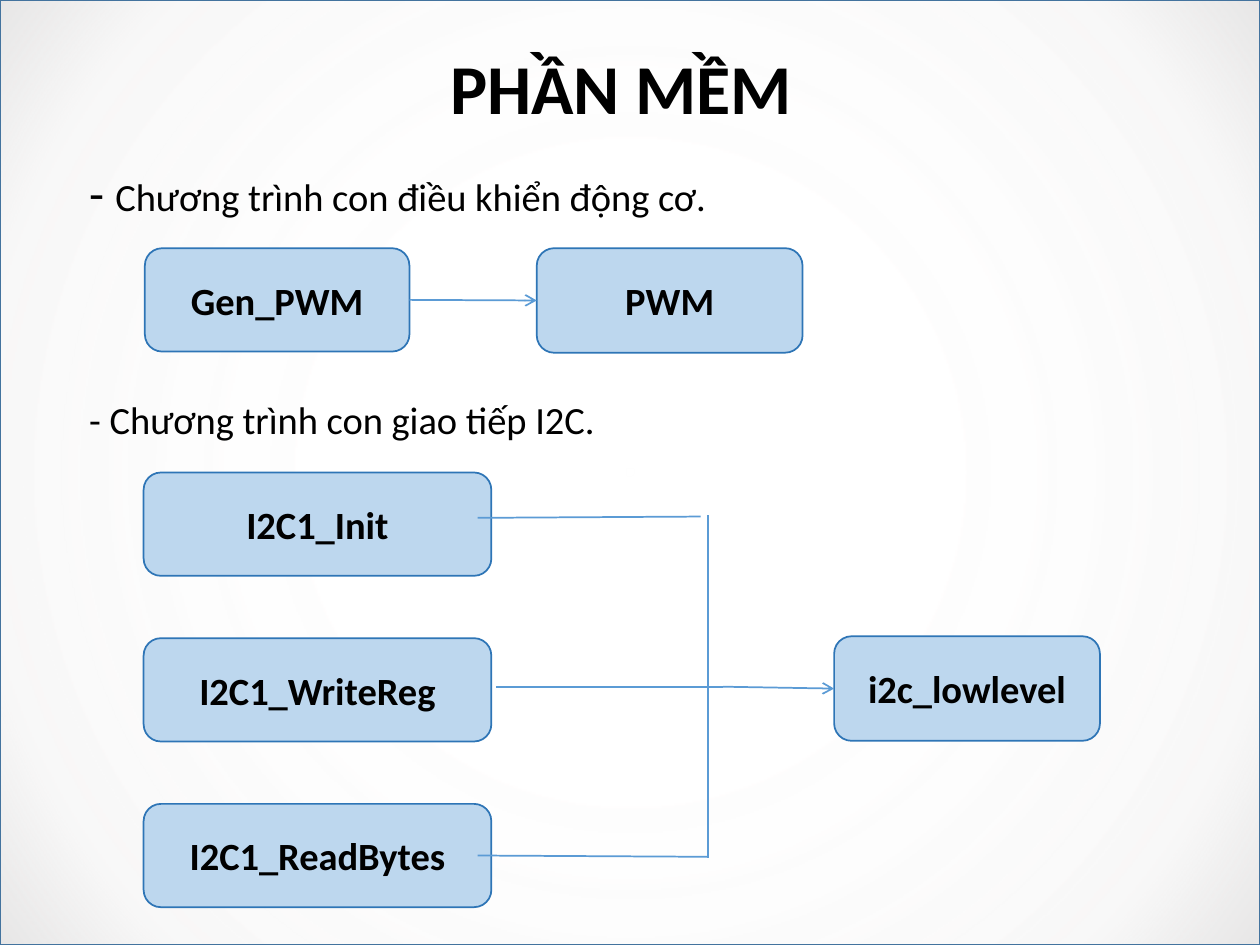
from lxml import etree
from pptx import Presentation
from pptx.dml.color import RGBColor
from pptx.enum import shapes, text
from pptx.oxml import ns
from pptx.util import Inches, Pt

FONT = "Calibri"
BLACK, BOX_FILL, BOX_LINE, LINK, FRAME = "000000", "BDD7EE", "2E75B6", "5B9BD5", "43739E"

TITLE = "PHẦN MỀM"
# (left, top, width, height), runs of (text, size)
HEADINGS = [
    ((0.61, 1.24, 8.78, 0.57), [("- ", 28), ("Chương trình con điều khiển động cơ.", 22)]),
    ((0.61, 3.09, 6.38, 0.77), [("- Chương trình con giao tiếp I2C.", 22)]),
]
I2C_CALLS = ["I2C1_Init", "I2C1_WriteReg", "I2C1_ReadBytes"]
I2C_TOP, I2C_STEP = 3.75, 1.315
BOXES = {
    "Gen_PWM": (1.15, 1.97, 2.1, 0.82),
    "PWM": (4.26, 1.97, 2.11, 0.83),
    "i2c_lowlevel": (6.62, 5.05, 2.11, 0.83),
}
BOXES.update({name: (1.14, I2C_TOP + i * I2C_STEP, 2.76, 0.82)
              for i, name in enumerate(I2C_CALLS)})
# from, to
BUS_LINES = [
    ((3.79, 4.11), (5.56, 4.1)),
    ((3.94, 5.45), (5.74, 5.45)),
    ((3.79, 6.79), (5.62, 6.8)),
    ((5.62, 4.09), (5.62, 6.81)),
]
# position, colour, opacity, all in percent
GLOW = [(0, "F7FAFD", 0), (38, "FFFFFF", 15), (84, "E7E6E6", 30), (100, "E7E6E6", 100)]


def rgb(value):
    return RGBColor.from_string(value)


def inches(values):
    return [Inches(v) for v in values]


def add_run(paragraph, words, size=22, bold=False, color=BLACK):
    run = paragraph.add_run()
    run.text = words
    run.font.name, run.font.size, run.font.bold = FONT, Pt(size), bold
    run.font.color.rgb = rgb(color)


def add_shape(slide, kind, area, line):
    shape = slide.shapes.add_shape(kind, *inches(area))
    shape.shadow.inherit = False
    shape.line.color.rgb, shape.line.width = rgb(line), Pt(1)
    return shape


def add_backdrop(slide):
    """Framed radial glow, placed behind the title."""
    backdrop = add_shape(slide, shapes.MSO_SHAPE.RECTANGLE, (0, 0, 10, 7.5), FRAME)
    stops = "".join(
        f'<a:gs pos="{pos * 1000}"><a:srgbClr val="{color}">'
        f'<a:alpha val="{alpha * 1000}"/></a:srgbClr></a:gs>'
        for pos, color, alpha in GLOW)
    glow = etree.fromstring(
        f'<a:gradFill {ns.nsdecls("a")} rotWithShape="1"><a:gsLst>{stops}</a:gsLst>'
        '<a:path path="circle"><a:fillToRect l="50000" t="50000" r="50000" b="50000"/>'
        '</a:path></a:gradFill>')
    backdrop.element.spPr.find(ns.qn("a:prstGeom")).addnext(glow)
    slide.shapes.title.element.addprevious(backdrop.element)


def add_title(slide):
    title = slide.shapes.title
    title.left, title.top, title.width, title.height = inches((0, 0, 10, 1.08))
    frame = title.text_frame
    frame.vertical_anchor = text.MSO_ANCHOR.BOTTOM
    frame.margin_right = Inches(0.24)
    paragraph = frame.paragraphs[0]
    paragraph.alignment, paragraph.line_spacing = text.PP_ALIGN.CENTER, 0.9
    add_run(paragraph, TITLE, size=40, bold=True)


def add_heading(slide, area, runs):
    frame = slide.shapes.add_textbox(*inches(area)).text_frame
    frame.word_wrap = True
    for words, size in runs:
        add_run(frame.paragraphs[0], words, size=size)


def add_box(slide, name, area):
    box = add_shape(slide, shapes.MSO_SHAPE.ROUNDED_RECTANGLE, area, BOX_LINE)
    box.fill.solid()
    box.fill.fore_color.rgb = rgb(BOX_FILL)
    frame = box.text_frame
    frame.vertical_anchor = text.MSO_ANCHOR.MIDDLE
    frame.paragraphs[0].alignment = text.PP_ALIGN.CENTER
    add_run(frame.paragraphs[0], name, bold=True)
    return box


def add_link(slide, start, end, arrow=False):
    link = slide.shapes.add_connector(shapes.MSO_CONNECTOR.STRAIGHT, *inches(start + end))
    link.line.color.rgb, link.line.width = rgb(LINK), Pt(1)
    if arrow:
        etree.SubElement(link.line._get_or_add_ln(), ns.qn("a:tailEnd"), type="arrow")
    etree.SubElement(link.element.spPr, ns.qn("a:effectLst"))
    return link


def main():
    deck = Presentation()
    deck.slide_width, deck.slide_height = Inches(10), Inches(7.5)
    slide = deck.slides.add_slide(deck.slide_layouts[5])
    add_backdrop(slide)
    add_title(slide)
    for area, runs in HEADINGS:
        add_heading(slide, area, runs)
    boxes = {name: add_box(slide, name, area) for name, area in BOXES.items()}

    pwm_link = add_link(slide, (3.25, 2.38), (4.26, 2.38), arrow=True)
    pwm_link.begin_connect(boxes["Gen_PWM"], 3)
    pwm_link.end_connect(boxes["PWM"], 1)
    for start, end in BUS_LINES:
        add_link(slide, start, end)
    bus_link = add_link(slide, (5.74, 5.45), (6.62, 5.45), arrow=True)
    bus_link.end_connect(boxes["i2c_lowlevel"], 1)
    deck.save("out.pptx")


if __name__ == "__main__":
    main()
